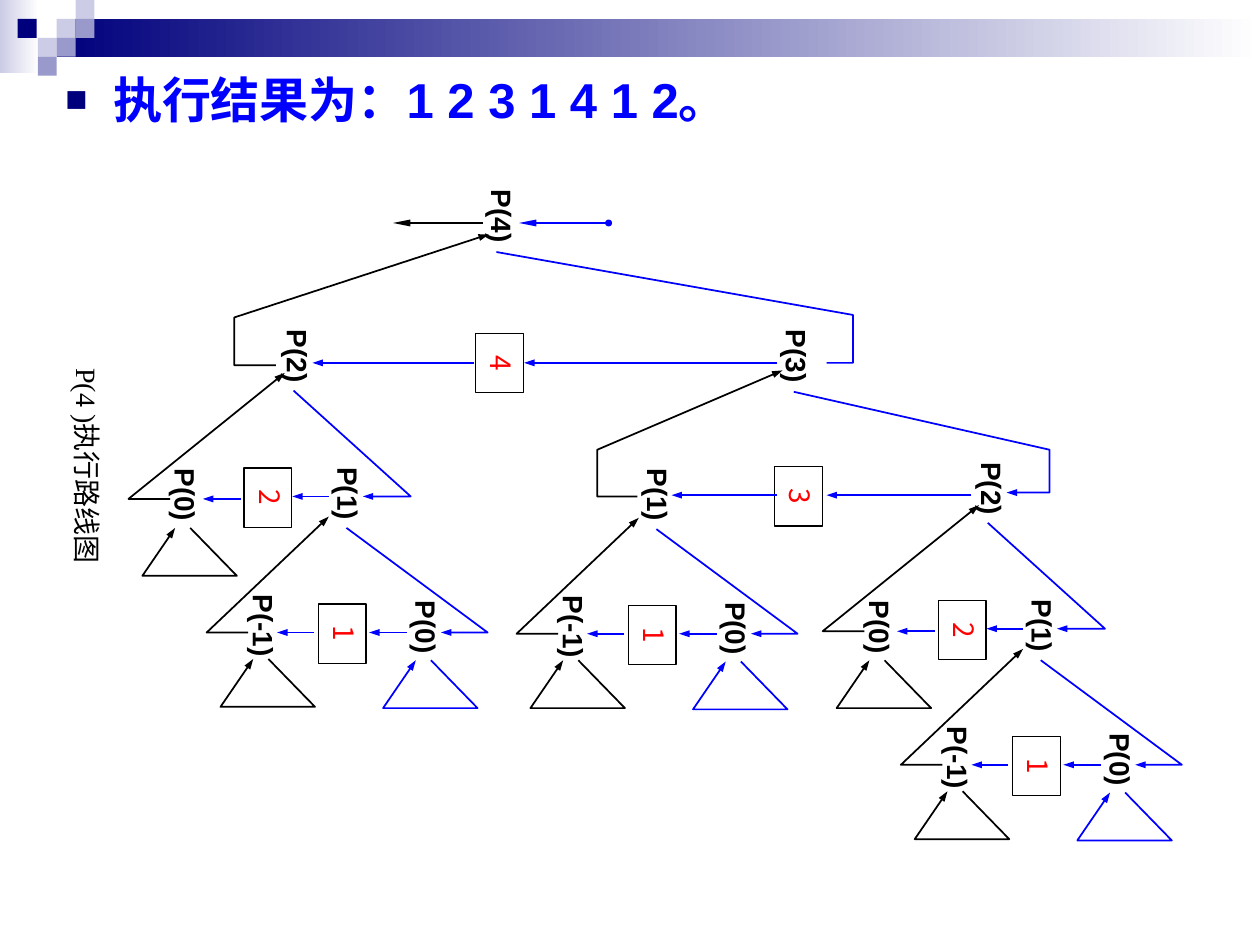
from lxml import etree
from pptx import Presentation
from pptx.dml.color import RGBColor
from pptx.enum.shapes import MSO_CONNECTOR, MSO_SHAPE
from pptx.enum.text import MSO_ANCHOR, PP_ALIGN
from pptx.oxml.ns import qn
from pptx.util import Inches, Pt

RECTANGLE = MSO_SHAPE.RECTANGLE
STRAIGHT = MSO_CONNECTOR.STRAIGHT
MIDDLE = MSO_ANCHOR.MIDDLE
TOP = MSO_ANCHOR.TOP
CENTER = PP_ALIGN.CENTER
JUSTIFY = PP_ALIGN.JUSTIFY

COLORS = {
    "navy": "00007D", "lilac": "CCCCE6", "violet": "9999CC", "white": "FFFFFF",
    "black": "000000", "call": "0000FF", "output": "FF0000",
}
TILE = 0.15
LABEL_SIZE = (0.77, 0.47)
BOX_SIZE = (0.47, 0.38)
TOP_SIDE = 0  # faces right once the box is turned by 90 degrees


def color(name):
    return RGBColor.from_string(COLORS[name])


class Diagram:
    """Holds the slide and the fonts, and draws each kind of element."""

    def __init__(self, slide):
        self.slide = slide
        self.shapes = slide.shapes
        self.latin_font = "Arial"
        self.asian_font = "Noto Sans CJK SC"
        self.caption_font = "Times New Roman"
        self.text_size = 16

    def rectangle(self, left, top, width, height, fill=None, line=None):
        shape = self.shapes.add_shape(
            RECTANGLE, Inches(left), Inches(top), Inches(width), Inches(height))
        shape.shadow.inherit = False
        if fill is None:
            shape.fill.background()
        elif isinstance(fill, tuple):
            shape.fill.gradient()
            shape.fill.gradient_angle = 0
            for stop, name in zip(shape.fill.gradient_stops, fill):
                stop.color.rgb = color(name)
        else:
            shape.fill.solid()
            shape.fill.fore_color.rgb = color(fill)
        if line:
            shape.line.color.rgb = color(line)
            shape.line.width = Pt(0.75)
        else:
            shape.line.fill.background()
        return shape

    def text_box(self, left, top, width, height):
        return self.shapes.add_textbox(
            Inches(left), Inches(top), Inches(width), Inches(height))

    def set_text(self, shape, text, font, ink="black", size=None, bold=False,
                 align=None, anchor=TOP, insets=(0.1, 0.05, 0.1, 0.05)):
        frame = shape.text_frame
        frame.text = text
        frame.word_wrap = True
        frame.vertical_anchor = anchor
        (frame.margin_left, frame.margin_top,
         frame.margin_right, frame.margin_bottom) = map(Inches, insets)
        paragraph = frame.paragraphs[0]
        paragraph.alignment = align
        for run in paragraph.runs:
            run.font.name = font
            run.font.size = Pt(size or self.text_size)
            run.font.bold = bold
            run.font.color.rgb = color(ink)
            asian = etree.SubElement(run.font._element, qn("a:ea"))
            asian.set("typeface", self.asian_font)
        return paragraph

    def title(self, text):
        shape = self.text_box(0.42, 0.5, 9, 5.33)
        paragraph = self.set_text(shape, text, self.latin_font, "call", 28, True)
        properties = paragraph._p.get_or_add_pPr()
        properties.set("marL", str(Inches(0.38)))
        properties.set("indent", str(-Inches(0.38)))
        bullet_color = etree.SubElement(properties, qn("a:buClr"))
        etree.SubElement(bullet_color, qn("a:srgbClr")).set("val", COLORS["navy"])
        etree.SubElement(properties, qn("a:buSzPct")).set("val", "75000")
        etree.SubElement(properties, qn("a:buFont")).set("typeface", self.latin_font)
        etree.SubElement(properties, qn("a:buChar")).set("char", "■")

    def caption(self, text):
        shape = self.text_box(-1.29, 3.45, 3.84, 0.49)
        shape.rotation = 90
        self.set_text(shape, text, self.caption_font, align=CENTER)

    def label(self, text, left, top, fill=None):
        shape = self.rectangle(left, top, *LABEL_SIZE, fill=fill)
        shape.rotation = 90
        inset = 0.06 if "-" in text else 0.1
        self.set_text(shape, text, self.latin_font, bold=True, align=JUSTIFY,
                      anchor=MIDDLE, insets=(inset, 0.05, 0.1, 0.05))

    def output_box(self, text, left, top, fill="white"):
        shape = self.rectangle(left, top, *BOX_SIZE, fill=fill, line="black")
        shape.rotation = 90
        self.set_text(shape, text, self.asian_font, "output", align=CENTER,
                      anchor=MIDDLE, insets=(0.02, 0.01, 0.02, 0.05))
        return shape

    def style_line(self, shape, ink, width=1.0, length="med", oval=False):
        shape.line.color.rgb = color(ink)
        shape.line.width = Pt(width)
        line = shape.line._get_or_add_ln()
        if oval:
            etree.SubElement(line, qn("a:headEnd"), type="oval", w="sm", len="sm")
        etree.SubElement(line, qn("a:tailEnd"), type="triangle", w="sm", len=length)

    def arrow(self, start_x, end_x, y, ink="call", box=None, **style):
        """Draw a level arrow, joined to the right side of box if one is given."""
        connector = self.shapes.add_connector(
            STRAIGHT, Inches(start_x), Inches(y), Inches(end_x), Inches(y))
        if box is not None:
            connector.end_connect(box, TOP_SIDE)
            # end_connect ignores the rotation of the box
            connector.end_x, connector.end_y = Inches(end_x), Inches(y)
        self.style_line(connector, ink, **style)
        etree.SubElement(connector._element.spPr, qn("a:effectLst"))

    def route(self, points, ink, left=0, top=0):
        corners = [(Inches(left + x), Inches(top + y)) for x, y in points]
        builder = self.shapes.build_freeform(*corners[0])
        builder.add_line_segments(corners[1:], close=False)
        shape = builder.convert_to_shape()
        shape.shadow.inherit = False
        shape.fill.background()
        self.style_line(shape, ink)

    def leaf(self, text, left, top, ink):
        """Draw a call that returns at once, with its loop."""
        self.label(text, left, top, "white")
        self.route([(0.42, 0.42), (0.79, 0.8), (0.04, 0.8), (0.3, 0.42)],
                   ink, left, top)

    def call_one(self, left, top):
        """Draw P(1) with its two leaves."""
        self.label("P(1)", left, top)
        self.leaf("P(0)", left + 0.62, top + 1.06, "call")
        self.leaf("P(-1)", left - 0.67, top + 1.05, "black")
        self.route([(0.37, 0.43), (1.49, 1.26), (1.12, 1.26)], "call", left, top)
        self.route([(-0.41, 1.26), (-0.74, 1.26), (0.23, 0.34)], "black", left, top)
        self.output_box("1", left + 0.1, top + 1.08)
        self.arrow(left + 0.85, left + 0.55, top + 1.26)
        self.arrow(left + 0.11, left - 0.18, top + 1.26)

    def call_two(self, left, top):
        """Draw P(2) with its leaf P(0) and its subtree P(1)."""
        self.label("P(2)", left, top)
        self.leaf("P(0)", left - 0.89, top + 1.1, "black")
        self.route([(0.35, 0.43), (1.28, 1.27), (0.9, 1.27)], "call", left, top)
        self.route([(-0.63, 1.29), (-0.96, 1.29), (0.28, 0.29)], "black", left, top)
        box = self.output_box("2", left - 0.09, top + 1.09)
        self.arrow(left + 0.63, left + 0.34, top + 1.27, box=box)
        self.arrow(left - 0.07, left - 0.37, top + 1.29)
        self.call_one(left + 0.4, top + 1.09)


def draw_header(diagram):
    diagram.rectangle(0, 0, 0.31, 0.58, ("lilac", "white"))
    diagram.rectangle(0.45, TILE, 9.55, 0.3, ("navy", "white"))
    diagram.rectangle(0.14, TILE, TILE, TILE, "navy")
    tiles = [(3, 1, "lilac"), (4, 0, "lilac"), (4, 1, "violet"),
             (2, 2, "lilac"), (3, 2, "violet"), (2, 3, "violet")]
    for column, row, fill in tiles:
        diagram.rectangle(column * TILE, row * TILE, TILE, TILE, fill)


def draw_calls(diagram):
    diagram.label("P(4)", 3.6, 1.56, "white")
    diagram.arrow(4.83, 4.12, 1.77, width=0.75, length="lg", oval=True)
    diagram.arrow(3.83, 3.12, 1.77, "black", width=0.75, length="lg")
    diagram.route([(3.94, 2), (6.77, 2.5), (6.77, 2.88), (6.45, 2.88)], "call")
    diagram.route([(2.19, 2.9), (1.86, 2.9), (1.86, 2.52), (3.88, 1.86)], "black")

    diagram.label("P(3)", 5.94, 2.67, "white")
    diagram.route([(6.3, 3.11), (8.33, 3.57), (8.33, 3.91), (7.99, 3.91)], "call")
    diagram.route([(5.06, 3.94), (4.74, 3.94), (4.74, 3.57), (6.21, 2.94)], "black")
    diagram.output_box("3", 6.1, 3.75, fill=None)
    diagram.arrow(7.71, 6.56, 3.93)
    diagram.arrow(6.17, 5.33, 3.93)

    box = diagram.output_box("4", 3.73, 2.69, fill=None)
    diagram.arrow(6.17, 4.16, 2.88, box=box)
    diagram.arrow(3.76, 2.48, 2.88)

    diagram.call_two(1.98, 2.67)
    diagram.call_one(4.84, 3.77)
    diagram.call_two(7.49, 3.72)


def main():
    presentation = Presentation()
    presentation.slide_width = Inches(10)
    presentation.slide_height = Inches(7.5)
    slide = presentation.slides.add_slide(presentation.slide_layouts[6])
    diagram = Diagram(slide)
    draw_header(diagram)
    diagram.title("执行结果为：1 2 3 1 4 1 2。")
    diagram.caption("P(4 )执行路线图")
    draw_calls(diagram)
    presentation.save("out.pptx")


if __name__ == "__main__":
    main()
